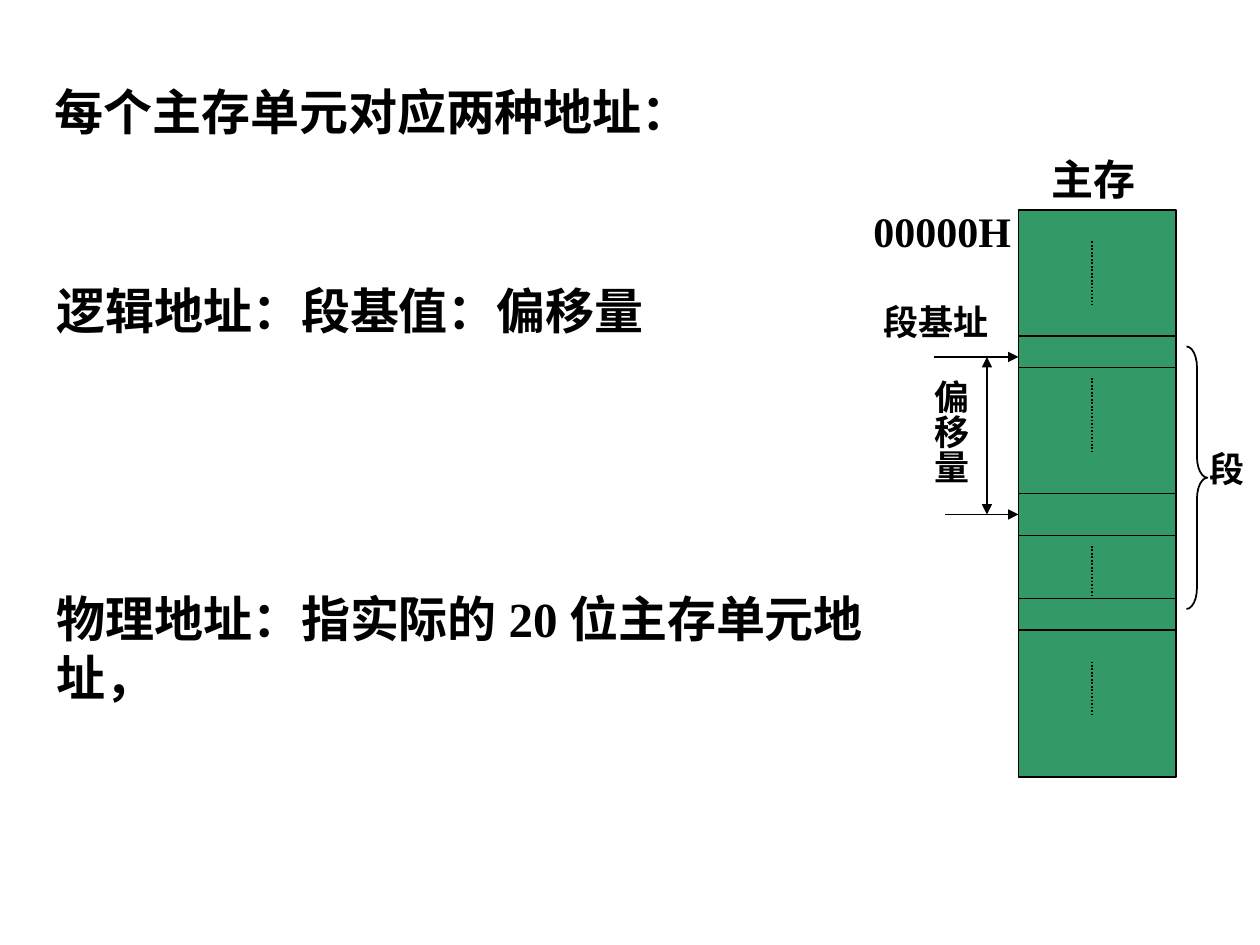
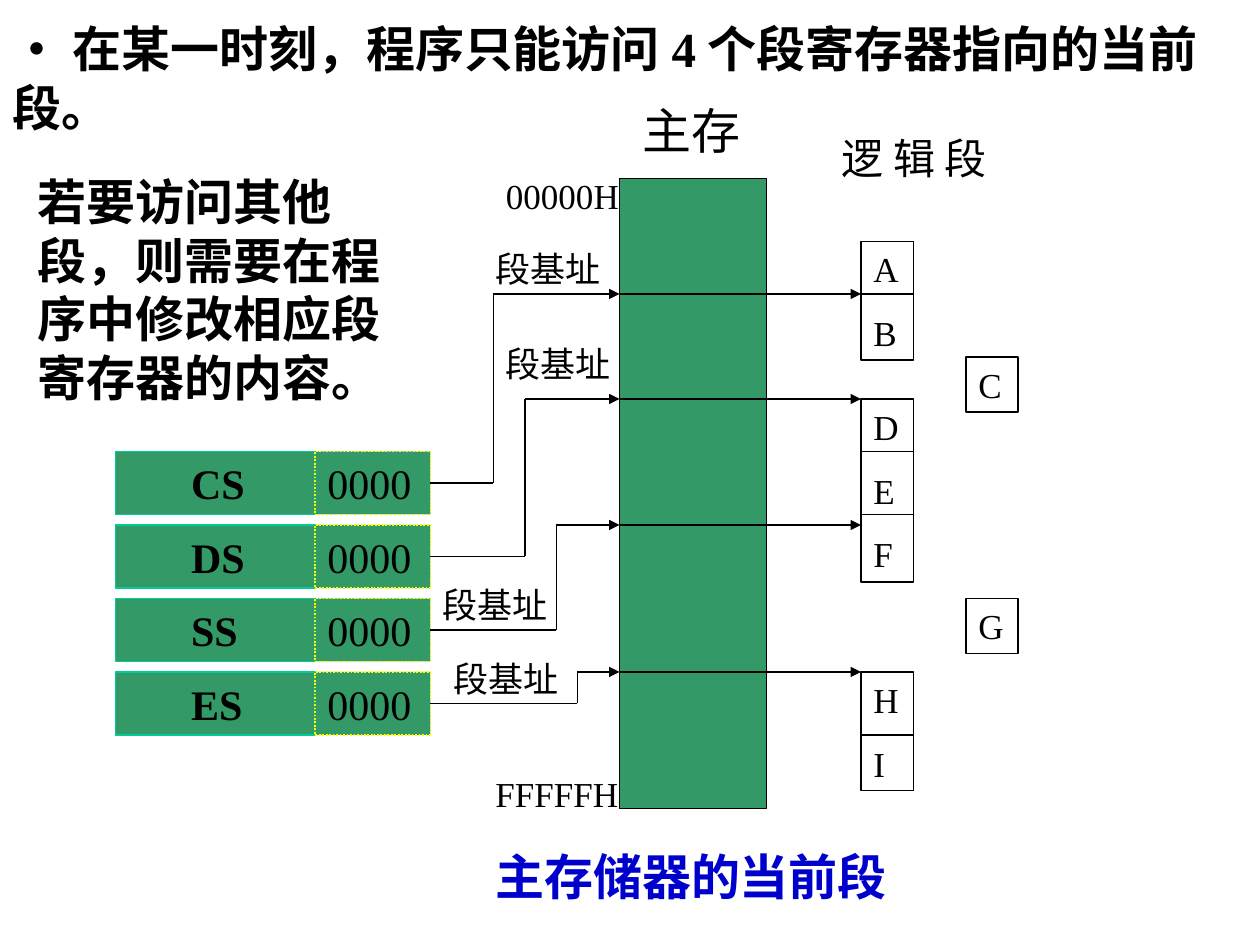
from dataclasses import dataclass
from typing import NamedTuple

from lxml import etree
from pptx import Presentation
from pptx.dml.color import RGBColor
from pptx.enum.dml import MSO_LINE
from pptx.enum.shapes import MSO_CONNECTOR, MSO_SHAPE
from pptx.enum.text import MSO_ANCHOR, MSO_AUTO_SIZE, PP_ALIGN
from pptx.oxml.ns import qn
from pptx.util import Pt

STRAIGHT = MSO_CONNECTOR.STRAIGHT
RECTANGLE = MSO_SHAPE.RECTANGLE
RIGHT_BRACE = MSO_SHAPE.RIGHT_BRACE
DOTTED = MSO_LINE.ROUND_DOT
TOP = MSO_ANCHOR.TOP
FIXED_SIZE = MSO_AUTO_SIZE.NONE
LEFT, CENTER = PP_ALIGN.LEFT, PP_ALIGN.CENTER
TITLE_ONLY = 5


@dataclass(frozen=True)
class Theme:
    ink: RGBColor = RGBColor(0x00, 0x00, 0x00)
    memory: RGBColor = RGBColor(0x33, 0x99, 0x66)
    register_edge: RGBColor = RGBColor(0x00, 0xCC, 0x99)
    value_edge: RGBColor = RGBColor(0xFF, 0xFF, 0x00)
    caption: RGBColor = RGBColor(0x00, 0x00, 0xCC)
    serif: str = "Times New Roman"
    sans: str = "Noto Sans CJK SC"
    large: float = 28
    medium: float = 24
    small: float = 20
    line_width: float = 1
    line_pitch: float = 1.2
    space_before: float = 0.625
    inset_x: float = 7.2
    inset_y: float = 3.6


THEME = Theme()


class Box(NamedTuple):
    left: float
    top: float
    width: float
    height: float


class Point(NamedTuple):
    x: float
    y: float


class Label(NamedTuple):
    text: str
    box: Box
    size: float
    font: str = THEME.serif
    bold: bool = False
    color: RGBColor = THEME.ink
    vertical: bool = False


class Register(NamedTuple):
    name: str
    bus_x: float
    base_y: float
    label_left: float
    label_top: float


class SegmentStack(NamedTuple):
    names: str
    box: Box
    dividers: tuple = ()


# Text
def write_text(shape, text: str, *, size: float, font: str = THEME.serif,
               bold: bool = False, color: RGBColor = THEME.ink,
               indent: float = 0, vertical: bool = False) -> None:
    """Write one paragraph per line of text."""
    frame = shape.text_frame
    frame.word_wrap = True
    frame.auto_size = FIXED_SIZE
    frame.vertical_anchor = TOP
    inset_x, inset_y = THEME.inset_x, THEME.inset_y
    if vertical:
        inset_x, inset_y = inset_y, inset_x
        frame._txBody.bodyPr.set("vert", "eaVert")
    frame.margin_left = Pt(inset_x + indent)
    frame.margin_right = Pt(inset_x)
    frame.margin_top = frame.margin_bottom = Pt(inset_y)
    frame.text = text
    for paragraph in frame.paragraphs:
        paragraph.alignment = CENTER if vertical else LEFT
        paragraph.line_spacing = Pt(size * THEME.line_pitch)
        paragraph.space_before = Pt(size * THEME.space_before)
        # Closing punctuation wraps instead of hanging past the margin
        paragraph._p.get_or_add_pPr().set("hangingPunct", "0")
        for run in paragraph.runs:
            run.font.size = Pt(size)
            run.font.bold = bold
            run.font.color.rgb = color
            run.font.name = font
            # East Asian characters take their own font element
            latin = run._r.get_or_add_rPr().find(qn("a:latin"))
            latin.addnext(etree.Element(qn("a:ea"), typeface=THEME.sans))


def add_label(slide, label: Label) -> None:
    shape = slide.shapes.add_textbox(*map(Pt, label.box))
    write_text(shape, label.text, size=label.size, font=label.font,
               bold=label.bold, color=label.color, vertical=label.vertical)


def add_titled_slide(presentation, text: str, box: Box):
    slide = presentation.slides.add_slide(presentation.slide_layouts[TITLE_ONLY])
    title = slide.shapes.title
    title.left, title.top, title.width, title.height = map(Pt, box)
    write_text(title, text, size=THEME.large, bold=True)
    return slide


# Shapes and lines
def add_outline(slide, box: Box, *, preset=RECTANGLE, fill: RGBColor | None = None,
                edge: RGBColor = THEME.ink, dash=None):
    shape = slide.shapes.add_shape(preset, *map(Pt, box))
    shape.shadow.inherit = False
    if fill is None:
        shape.fill.background()
    else:
        shape.fill.solid()
        shape.fill.fore_color.rgb = fill
    shape.line.color.rgb = edge
    shape.line.width = Pt(THEME.line_width)
    if dash is not None:
        shape.line.dash_style = dash
    return shape


def add_line(slide, start: Point, end: Point, *, head: bool = False,
             tail: bool = False, dash=None) -> None:
    connector = slide.shapes.add_connector(STRAIGHT, *map(Pt, (*start, *end)))
    connector.line.color.rgb = THEME.ink
    connector.line.width = Pt(THEME.line_width)
    if dash is not None:
        connector.line.dash_style = dash
    line = connector.line._get_or_add_ln()
    for tag, wanted in (("a:headEnd", head), ("a:tailEnd", tail)):
        if wanted:
            etree.SubElement(line, qn(tag), type="triangle")
    etree.SubElement(connector._element.spPr, qn("a:effectLst"))


def add_dividers(slide, box: Box, heights: tuple) -> None:
    for y in heights:
        add_line(slide, Point(box.left, y), Point(box.left + box.width, y))


# Slide 1: logical and physical addresses
def build_address_slide(presentation) -> None:
    slide = add_titled_slide(presentation, "每个主存单元对应两种地址：",
                             Box(24, 43, 660, 41))
    memory = Box(582, 120, 90, 324)
    base_y, target_y = 204, 294
    add_outline(slide, memory, fill=THEME.memory)
    add_dividers(slide, memory, (192, 210, 282, 306, 342, 360))

    # Dotted marks for the cells left out
    for top, bottom in ((138, 168), (144, 174), (216, 258), (312, 342), (378, 408)):
        add_line(slide, Point(624, top), Point(624, bottom), dash=DOTTED)

    # Segment base, offset and extent
    for left, y in ((534, base_y), (540, target_y)):
        add_line(slide, Point(left, y), Point(memory.left, y), tail=True)
    add_line(slide, Point(564, base_y), Point(564, target_y), head=True, tail=True)
    brace = add_outline(slide, Box(678, 198, 12, 150), preset=RIGHT_BRACE)
    brace.adjustments[0] = 1.0

    large, medium, small = THEME.large, THEME.medium, THEME.small
    sans, serif = THEME.sans, THEME.serif
    for label in (
        Label("逻辑地址：段基值：偏移量", Box(25.2, 157, 486, 41), large, serif, True),
        Label("物理地址：指实际的20位主存单元地址，", Box(25.2, 333, 527, 41),
              large, serif, True),
        Label("主存", Box(594, 84, 84, 36), medium, sans, True),
        Label("00000H", Box(492, 114, 102, 36), medium, serif, True),
        Label("段", Box(684, 252, 54, 32), small, sans, True),
        Label("段基址", Box(498, 168, 90, 32), small, sans, True),
        Label("偏移量", Box(521, 210, 38, 90), small, sans, True, vertical=True),
    ):
        add_label(slide, label)


# Slide 2: segment registers and current segments
REGISTERS = (
    Register("CS", 282, 168, 276, 138),
    Register("DS", 300, 228, 282, 192),
    Register("SS", 318, 300, 246, 330),
    Register("ES", 330, 384, 252, 372),
)
SEGMENT_STACKS = (
    SegmentStack("AB", Box(492, 138, 30, 67.7), (168,)),
    SegmentStack("C", Box(552, 204, 30, 31.5)),
    SegmentStack("DEF", Box(492, 228, 30, 104.4), (258, 294)),
    SegmentStack("G", Box(552, 342, 30, 31.5)),
    SegmentStack("HI", Box(492, 384, 30, 67.7), (420,)),
)


def add_register(slide, register: Register, top: float, memory_left: float,
                 segment_left: float) -> None:
    name_box = Box(66, top, 114, 36)
    value_box = Box(180, top, 66, 36)
    name_shape = add_outline(slide, name_box, fill=THEME.memory,
                             edge=THEME.register_edge)
    write_text(name_shape, register.name, size=THEME.medium, bold=True, indent=36)
    value_shape = add_outline(slide, value_box, fill=THEME.memory,
                              edge=THEME.value_edge, dash=DOTTED)
    write_text(value_shape, "0000", size=THEME.medium)

    # Route from the register through memory to its segment
    middle = top + name_box.height / 2
    stops = (
        Point(value_box.left + value_box.width, middle),
        Point(register.bus_x, middle),
        Point(register.bus_x, register.base_y),
        Point(memory_left, register.base_y),
        Point(segment_left, register.base_y),
    )
    for start, end in zip(stops, stops[1:]):
        add_line(slide, start, end, tail=end.x >= memory_left)
    add_label(slide, Label("段基址", Box(register.label_left, register.label_top, 78, 32),
                           THEME.small))


def build_segment_slide(presentation) -> None:
    slide = add_titled_slide(presentation,
                             "• 在某一时刻，程序只能访问4个段寄存器指向的当前段。",
                             Box(0, 7.2, 734, 41))
    memory = Box(354, 102, 84, 360)
    add_outline(slide, memory, fill=THEME.memory)

    for stack in SEGMENT_STACKS:
        shape = add_outline(slide, stack.box)
        write_text(shape, "\n".join(stack.names), size=THEME.small)
        add_dividers(slide, stack.box, stack.dividers)

    for row, register in enumerate(REGISTERS):
        add_register(slide, register, 258 + 42 * row, memory.left,
                     SEGMENT_STACKS[0].box.left)

    for label in (
        Label("主存", Box(360, 54, 78, 41), THEME.large),
        Label("逻 辑 段", Box(474, 72, 114, 36), THEME.medium),
        Label("00000H", Box(282, 96, 90, 32), THEME.small),
        Label("FFFFFH", Box(276, 438, 96, 32), THEME.small),
        Label("主存储器的当前段", Box(276, 480, 252, 41), THEME.large,
              bold=True, color=THEME.caption),
        Label("若要访问其他段，则需要在程序中修改相应段寄存器的内容。",
              Box(14.4, 94.4, 216, 142), THEME.large, bold=True),
    ):
        add_label(slide, label)


def main() -> None:
    presentation = Presentation()
    presentation.slide_width, presentation.slide_height = Pt(720), Pt(540)
    build_address_slide(presentation)
    build_segment_slide(presentation)
    presentation.save("out.pptx")


if __name__ == "__main__":
    main()
